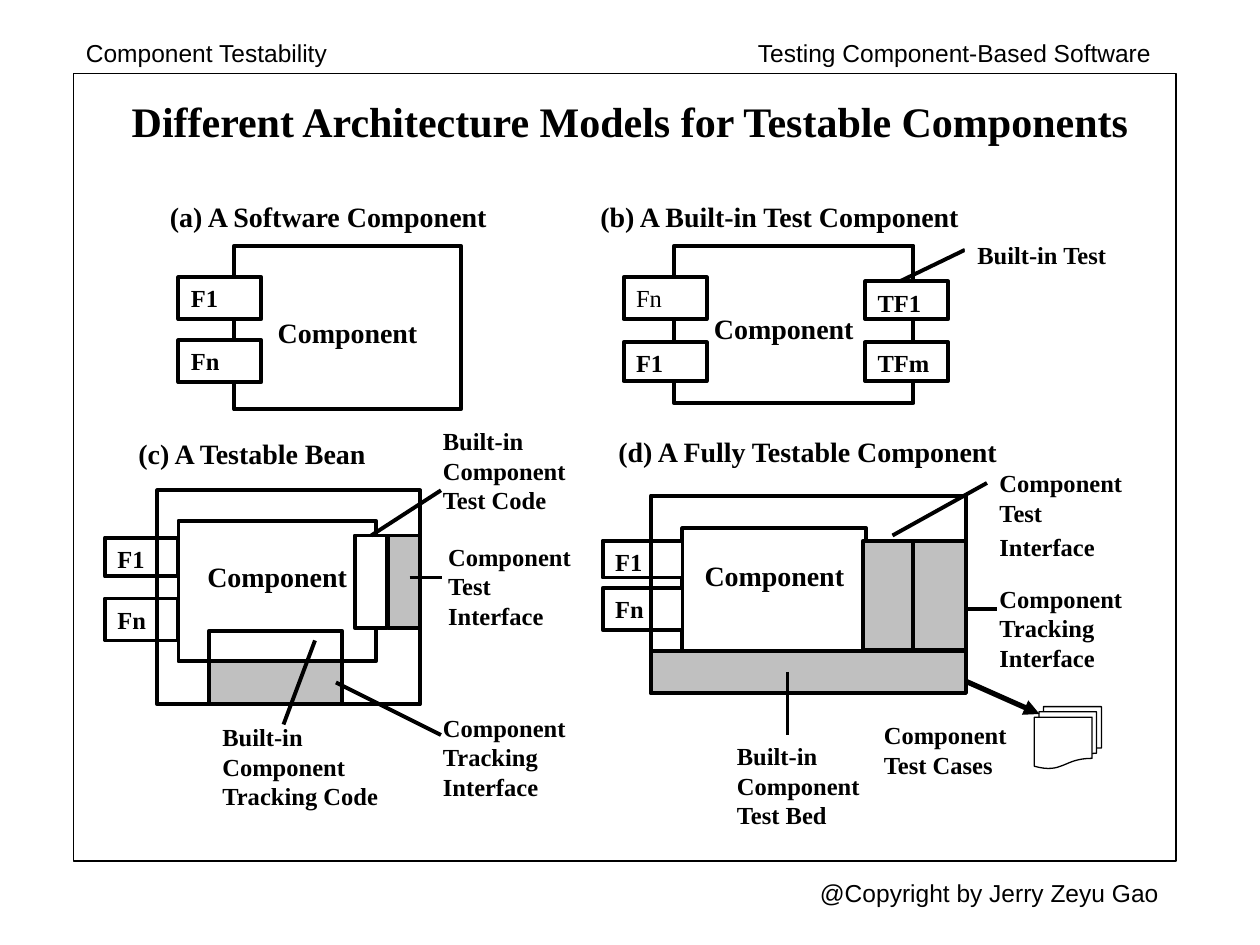
from pptx import Presentation
from pptx.dml.color import RGBColor
from pptx.enum.shapes import MSO_CONNECTOR, MSO_SHAPE as Preset
from pptx.enum.text import MSO_ANCHOR as Anchor, MSO_AUTO_SIZE as AutoSize, PP_ALIGN as Align
from pptx.oxml.ns import qn
from pptx.util import Inches, Pt
from lxml.etree import SubElement

COLORS = {"ink": "000000", "paper": "FFFFFF", "added": "C0C0C0"}
COLUMNS, ROWS = 120, 90


def rgb(name):
    return RGBColor.from_string(COLORS[name])


class Diagram:
    """Holds the style and the current slide; lengths are grid columns and rows."""
    serif, sans = "Times New Roman", "Arial"
    body_size, caption_size, title_size = 14, 16, 24
    border, thin, heavy = 2.25, 0.75, 3

    def __init__(self, prs):
        self.slide = prs.slides.add_slide(prs.slide_layouts[5])
        self.column = prs.slide_width / COLUMNS
        self.row = prs.slide_height / ROWS

    def area(self, x, y, width, height):
        return (round(x * self.column), round(y * self.row),
                round(width * self.column), round(height * self.row))

    def set_text(self, shape, text, size, font=serif, bold=True, align=Align.LEFT,
                 anchor=Anchor.TOP, left=1.2, top=0.6, gap=0):
        frame = shape.text_frame
        frame.text = text
        frame.word_wrap = True
        frame.auto_size = AutoSize.NONE
        frame.vertical_anchor = anchor
        frame.margin_left, frame.margin_right = round(left * self.column), Inches(0.1)
        frame.margin_top, frame.margin_bottom = round(top * self.row), Inches(0.05)
        for number, paragraph in enumerate(frame.paragraphs):
            paragraph.alignment = align
            paragraph.space_before = Pt(gap if number else 0)
            for run in paragraph.runs:
                run.font.name, run.font.size, run.font.bold = font, Pt(size), bold
                run.font.color.rgb = rgb("ink")

    def title(self, text, *area):
        title = self.slide.shapes.title
        title.left, title.top, title.width, title.height = self.area(*area)
        self.set_text(title, text, self.title_size, align=Align.CENTER, anchor=Anchor.MIDDLE)

    def header(self, text, *area):
        header = self.slide.shapes.add_textbox(*self.area(*area))
        self.set_text(header, text, self.body_size, font=self.sans, bold=False)
        header.text_frame.word_wrap = False
        header.text_frame.auto_size = AutoSize.SHAPE_TO_FIT_TEXT

    def box(self, *area, fill="paper", border=border, preset=Preset.RECTANGLE):
        box = self.slide.shapes.add_shape(preset, *self.area(*area))
        box.shadow.inherit = False
        if fill:
            box.fill.solid()
            box.fill.fore_color.rgb = rgb(fill)
        else:
            box.fill.background()
        if border:
            box.line.color.rgb = rgb("ink")
            box.line.width = Pt(border)
        else:
            box.line.fill.background()
        return box

    def component(self, *area, top, **style):
        self.set_text(self.box(*area), "Component", self.caption_size, top=top,
                      **{"align": Align.CENTER, **style})

    def function(self, text, *area, bold=True):
        self.set_text(self.box(*area), text, self.body_size, bold=bold)

    def label(self, text, *area, gap=0):
        self.set_text(self.box(*area, border=None), text, self.body_size, gap=gap)

    def caption(self, text, *area, left=1.2):
        self.set_text(self.box(*area, border=None), text, self.caption_size, left=left)

    def leader(self, x1, y1, x2, y2, width=border, arrows=False, start=None):
        ends = self.area(x1, y1, x2, y2)
        line = self.slide.shapes.add_connector(MSO_CONNECTOR.STRAIGHT, *ends)
        if start:
            line.begin_connect(*start)
        line.line.color.rgb = rgb("ink")
        line.line.width = Pt(width)
        properties = line._element.spPr
        if arrows:
            for end in ("a:headEnd", "a:tailEnd"):
                SubElement(properties.find(qn("a:ln")), qn(end), type="triangle")
        SubElement(properties, qn("a:effectLst"))


def software_component(d):
    d.caption("(a) A Software Component", 15, 18.4, 34, 4.4)
    d.component(22.3, 23.4, 21.6, 15.6, top=6.7)
    for name, y in (("F1", 26.4), ("Fn", 32.4)):
        d.function(name, 17, y, 7.9, 4)


def built_in_test_component(d):
    d.caption("(b) A Built-in Test Component", 56, 18.4, 39.1, 4.4)
    d.component(64.2, 23.4, 22.8, 15, top=6.3, left=3.8, align=Align.LEFT)
    d.function("Fn", 59.4, 26.4, 7.9, 4, bold=False)
    d.leader(85.7, 26.8, 91.9, 23.8)
    d.label("Built-in Test", 91.9, 22.3, 16.1, 4)
    d.function("F1", 59.4, 32.6, 7.9, 3.7)
    d.function("TF1", 82.4, 26.8, 7.9, 3.6)
    d.function("TFm", 82.4, 32.6, 7.9, 3.7)


def testable_bean(d):
    d.caption("(c) A Testable Bean", 12, 41, 27.4, 4.4)
    d.component(17, 49.6, 18.8, 13.4, top=3.7)
    d.function("F1", 10, 51.2, 7, 3.7)
    d.function("Fn", 10, 57, 7, 4)
    # Test and tracking interfaces, then the enclosing bean
    d.box(37, 51, 3, 8.8, fill="added")
    d.label("Component Test\nInterface", 41.5, 51, 14.4, 9)
    d.leader(39, 55, 42.1, 55)
    d.box(19.9, 63, 12.7, 4, fill="added")
    d.label("Component Tracking\nInterface", 41, 67.3, 14.5, 10.7)
    d.leader(32, 65, 42, 70)
    d.box(15, 46.7, 25, 20.4, fill=None)
    # Built-in code
    test_code = d.box(33.8, 51, 3.1, 8.8)
    d.box(19.9, 60.1, 12.7, 2.9)
    d.label("Built-in Component Test Code", 41, 40, 14.5, 8.3)
    d.leader(35.4, 51, 42, 46.7, start=(test_code, 0))
    d.label("Built-in\nComponent\nTracking Code", 20, 68.2, 18, 9.8)
    d.leader(30, 61, 27, 69)


def fully_testable_component(d):
    d.component(65, 50.3, 17.5, 11.8, top=2.9)
    d.function("F1", 57.4, 51.5, 7.6, 3.5)
    d.function("Fn", 57.4, 56, 7.6, 4)
    # Test interface
    d.box(82.2, 51.5, 4.8, 10.4, fill="added")
    d.label("Component Test\nInterface", 94, 44, 15, 10, gap=3)
    d.leader(85, 51, 94, 46)
    d.caption("(d) A Fully Testable Component", 57, 40.8, 42, 4.2, left=1.9)
    # Test cases
    d.box(98.5, 67.3, 6.4, 5.9, border=d.thin, preset=Preset.FLOWCHART_MULTIDOCUMENT)
    d.label("Component Test Cases", 83, 68, 14.6, 6.8)
    d.leader(90, 64, 99, 68, width=d.heavy, arrows=True)
    # Enclosing component, test bed and tracking interface
    d.box(62, 47.2, 30, 18.8, fill=None)
    d.box(62, 62, 30, 4, fill="added")
    d.label("Component Tracking\nInterface", 94, 55, 15, 9.8)
    d.leader(90, 58, 95, 58)
    d.box(87, 51.5, 5, 10.4, fill="added")
    d.label("Built-in Component Test Bed", 69, 70, 14.5, 9.8)
    d.leader(75, 64, 75, 70)


def main():
    prs = Presentation()
    prs.slide_width, prs.slide_height = Inches(10), Inches(7.5)
    diagram = Diagram(prs)

    # The four architecture models
    for model in (testable_bean, fully_testable_component,
                  built_in_test_component, software_component):
        model(diagram)

    # Page frame, title and running heads
    diagram.box(7, 7, 105, 75, fill=None, border=diagram.thin)
    diagram.title("Different Architecture Models for Testable Components", 10, 7, 100, 9)
    diagram.header("Component Testability", 7, 3, 25.7, 4.1)
    diagram.header("Testing Component-Based Software", 71, 3, 40.1, 4.1)
    diagram.header("@Copyright by Jerry Zeyu Gao", 76.9, 83, 34.7, 4.1)
    prs.save("out.pptx")


if __name__ == "__main__":
    main()
